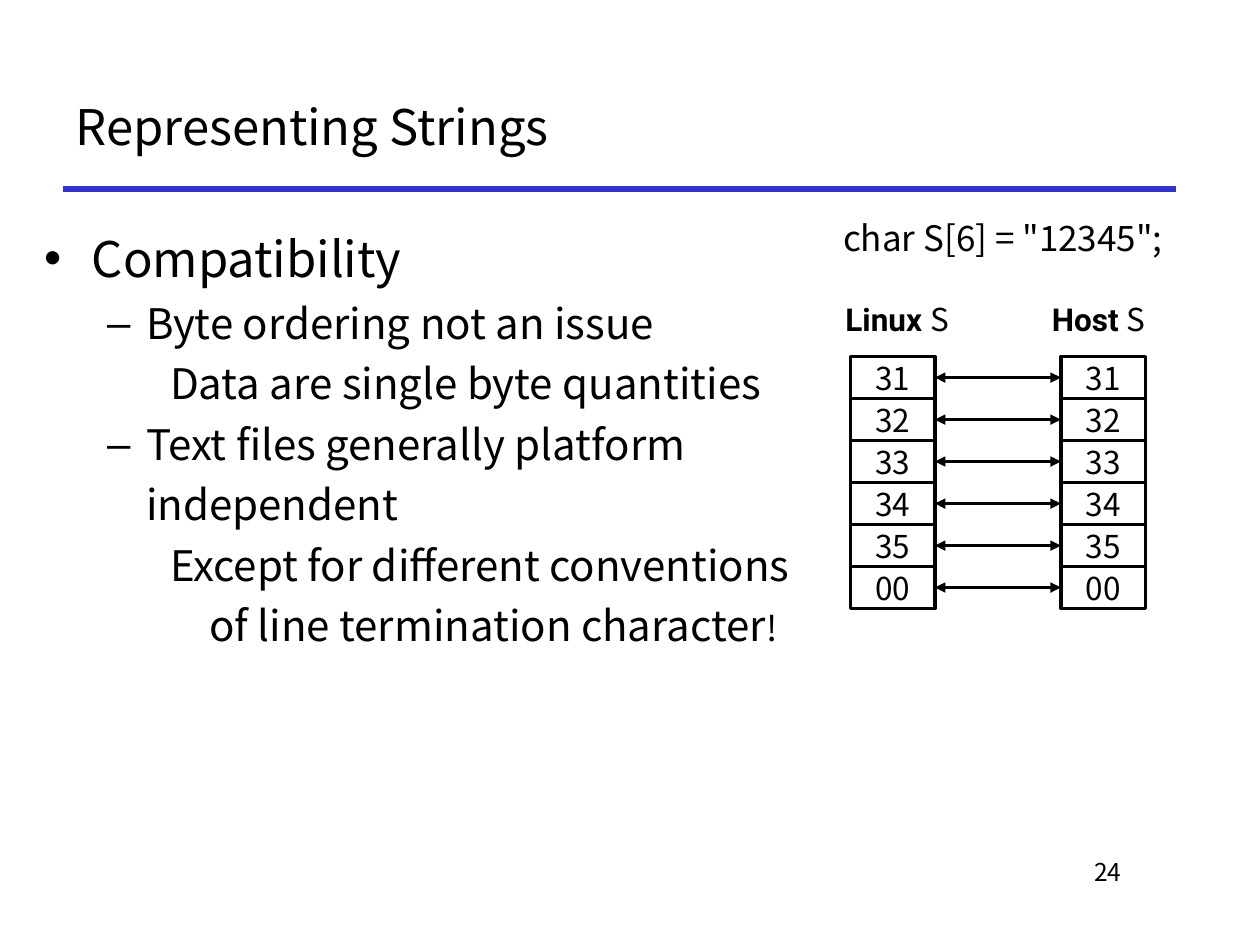
from dataclasses import dataclass

from lxml import etree
from pptx import Presentation
from pptx.dml.color import RGBColor
from pptx.enum.shapes import MSO_CONNECTOR, MSO_SHAPE
from pptx.enum.text import MSO_ANCHOR, MSO_AUTO_SIZE, PP_ALIGN
from pptx.oxml.ns import qn
from pptx.util import Inches, Pt

LINE = MSO_CONNECTOR.STRAIGHT
RECT = MSO_SHAPE.RECTANGLE
LEFT, MID, RIGHT = PP_ALIGN.LEFT, PP_ALIGN.CENTER, PP_ALIGN.RIGHT
TOP, CENTER = MSO_ANCHOR.TOP, MSO_ANCHOR.MIDDLE
FIXED = MSO_AUTO_SIZE.NONE


@dataclass(frozen=True)
class Theme:
    ink: RGBColor = RGBColor(0, 0, 0)
    paper: RGBColor = RGBColor(255, 255, 255)
    rule: RGBColor = RGBColor(0x33, 0x33, 0xCC)
    font: str = "Noto Sans CJK KR"
    label: str = "Roboto"
    head: int = 28
    item: int = 24
    code: int = 20
    cell: int = 18
    page: int = 14


THEME = Theme()
BYTES = ["31", "32", "33", "34", "35", "00"]
LEVELS = [(0.38, -0.38, "•"), (0.81, -0.31, "–"), (1.31, -0.31, None)]
ITEMS = [
    (0, [("Compatibility", THEME.head)]),
    (1, [("Byte ordering not an issue", THEME.item)]),
    (2, [("Data are single byte quantities", THEME.item)]),
    (1, [("Text files generally platform independent", THEME.item)]),
    (2, [("Except for different conventions of line termination character",
          THEME.item), ("!", THEME.code)]),
]


def place(shape, box):
    shape.left, shape.top, shape.width, shape.height = map(Inches, box)


def write(para, text, size, font=THEME.font, bold=False):
    run = para.add_run()
    run.text = text
    run.font.name = font
    run.font.size = Pt(size)
    run.font.bold = bold
    run.font.color.rgb = THEME.ink


def setup(frame, anchor=TOP, wrap=True):
    frame.auto_size = FIXED
    frame.word_wrap = wrap
    frame.vertical_anchor = anchor


def add_text(slide, box, runs, align, wrap=True):
    frame = slide.shapes.add_textbox(*map(Inches, box)).text_frame
    setup(frame, wrap=wrap)
    para = frame.paragraphs[0]
    para.alignment = align
    for run in runs:
        write(para, *run)


def style(line, color, width, ends=()):
    line.line.color.rgb = color
    line.line.width = Pt(width)
    props = line.line._get_or_add_ln()
    for end in ends:
        etree.SubElement(props, qn(end), type="triangle")
    etree.SubElement(line._element.spPr, qn("a:effectLst"))


def add_title(slide, box):
    x, y, w, h = box
    rule = slide.shapes.add_connector(
        LINE, Inches(x), Inches(y + h), Inches(x + w), Inches(y + h))
    style(rule, THEME.rule, 3)
    title = slide.shapes.title
    place(title, box)
    setup(title.text_frame, CENTER)
    para = title.text_frame.paragraphs[0]
    para.alignment = LEFT
    write(para, "Representing Strings", THEME.head)


def add_list(slide, box):
    body = slide.placeholders[1]
    place(body, box)
    frame = body.text_frame
    setup(frame)
    for i, (level, runs) in enumerate(ITEMS):
        para = frame.add_paragraph() if i else frame.paragraphs[0]
        para.level = level
        left, hang, mark = LEVELS[level]
        props = para._p.get_or_add_pPr()
        props.set("marL", str(Inches(left)))
        props.set("indent", str(Inches(hang)))
        if mark:
            etree.SubElement(props, qn("a:buChar"), char=mark)
        else:
            etree.SubElement(props, qn("a:buNone"))
        para.line_spacing = 1.2
        para.space_before = Pt(0)
        for text, size in runs:
            write(para, text, size)


def add_stack(slide, box):
    x, y, w, h = box
    step = h / len(BYTES)
    cells = []
    for i, value in enumerate(BYTES):
        cell = slide.shapes.add_shape(
            RECT, *map(Inches, (x, y + i * step, w, step)))
        cell.shadow.inherit = False
        cell.fill.solid()
        cell.fill.fore_color.rgb = THEME.paper
        cell.line.color.rgb = THEME.ink
        cell.line.width = Pt(2)
        setup(cell.text_frame, CENTER, False)
        para = cell.text_frame.paragraphs[0]
        para.alignment = MID
        write(para, value, THEME.cell)
        cells.append(cell)
    return cells


def add_match(slide, box):
    x, y, w, h = box
    col, drop = 0.67, 0.5
    far = x + w - col
    for name, left, wide in (("Linux ", x - 0.18, 1.1), ("Host ", far - 0.15, 0.9)):
        runs = [(name, THEME.cell, THEME.label, True), ("S", THEME.cell)]
        add_text(slide, (left, y, wide, 0.4), runs, MID, False)
    stacks = [add_stack(slide, (left, y + drop, col, h - drop))
              for left in (x, far)]
    for near, away in zip(*stacks):
        arrow = slide.shapes.add_connector(LINE, 0, 0, 0, 0)
        arrow.begin_connect(near, 3)
        arrow.end_connect(away, 1)
        style(arrow, THEME.ink, 2, ("a:headEnd", "a:tailEnd"))


def main():
    deck = Presentation()
    deck.slide_width, deck.slide_height = Inches(10), Inches(7.5)
    slide = deck.slides.add_slide(deck.slide_layouts[1])
    add_title(slide, (0.5, 0.5, 8.83, 1))
    add_list(slide, (0.25, 1.67, 6.33, 4.92))
    add_text(slide, (5.67, 1.67, 4.58, 0.58),
             [('char S[6] = "12345";', THEME.code)], MID)
    add_match(slide, (6.75, 2.33, 2.34, 2.5))
    add_text(slide, (7.58, 6.75, 1.42, 0.5), [("24", THEME.page)], RIGHT)
    deck.save("out.pptx")


if __name__ == "__main__":
    main()
